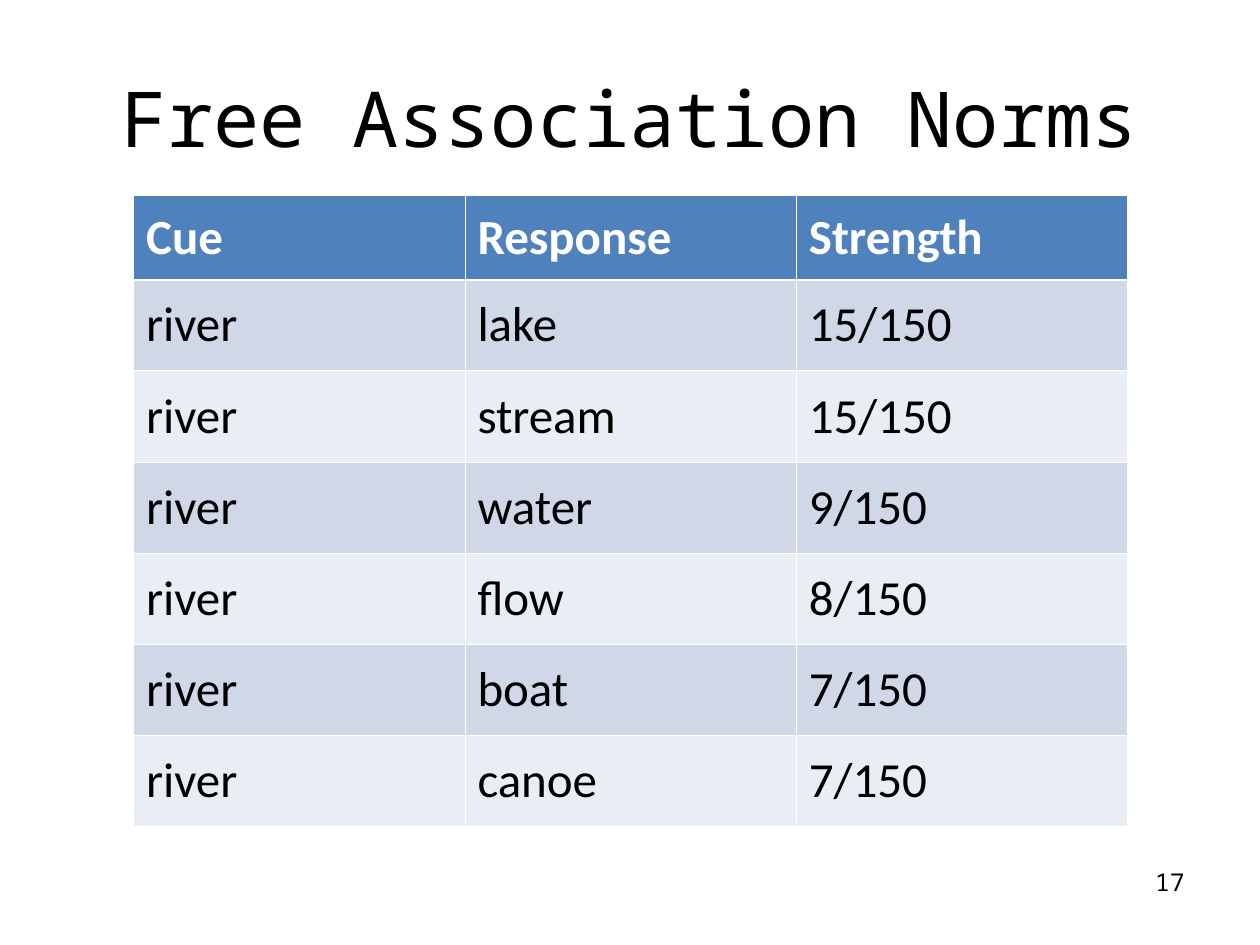
from dataclasses import dataclass

from lxml.etree import SubElement
from pptx import Presentation
from pptx.dml.color import RGBColor
from pptx.enum.text import MSO_ANCHOR as Anchor, PP_ALIGN as Align
from pptx.oxml.ns import qn
from pptx.util import Pt

BLACK = RGBColor(0x00, 0x00, 0x00)
WHITE = RGBColor(0xFF, 0xFF, 0xFF)
HEADER_BLUE = RGBColor(0x4F, 0x81, 0xBD)
BAND_DARK = RGBColor(0xD0, 0xD8, 0xE8)
BAND_LIGHT = RGBColor(0xE9, 0xED, 0xF4)

MONO, SANS = "Noto Sans Mono", "Calibri"
THIN, THICK = Pt(0.45), Pt(1.47)


@dataclass(frozen=True)
class RowStyle:
    fill: RGBColor
    color: RGBColor = BLACK
    bold: bool = False
    top: int = THIN
    bottom: int = THIN


@dataclass(frozen=True)
class Norm:
    cue: str
    response: str
    strength: str


HEADING = Norm("Cue", "Response", "Strength")
NORMS = [
    Norm("river", "lake", "15/150"),
    Norm("river", "stream", "15/150"),
    Norm("river", "water", "9/150"),
    Norm("river", "flow", "8/150"),
    Norm("river", "boat", "7/150"),
    Norm("river", "canoe", "7/150"),
]


def place(shape, left: float, top: float, width: float, height: float) -> None:
    shape.left, shape.top = Pt(left), Pt(top)
    shape.width, shape.height = Pt(width), Pt(height)


def format_paragraph(paragraph, font_name: str, size: float, color: RGBColor,
                     align: Align, bold: bool = False) -> None:
    paragraph.alignment = align
    font = paragraph.font
    font.name, font.size, font.bold = font_name, Pt(size), bold
    font.color.rgb = color


def set_borders(cell, style: RowStyle) -> None:
    properties = cell._tc.get_or_add_tcPr()
    for side, width in (("L", THIN), ("R", THIN), ("T", style.top), ("B", style.bottom)):
        line = SubElement(properties, qn(f"a:ln{side}"), w=str(width))
        fill = SubElement(line, qn("a:solidFill"))
        SubElement(fill, qn("a:srgbClr"), val=str(WHITE))


def fill_row(cells, norm: Norm, style: RowStyle) -> None:
    for cell, entry in zip(cells, (norm.cue, norm.response, norm.strength)):
        cell.text = entry
        cell.vertical_anchor = Anchor.MIDDLE
        paragraph = cell.text_frame.paragraphs[0]
        format_paragraph(paragraph, SANS, 28, style.color, Align.LEFT, style.bold)
        paragraph.space_before = Pt(7)
        # Borders come before the fill in the cell properties
        set_borders(cell, style)
        cell.fill.solid()
        cell.fill.fore_color.rgb = style.fill


def row_style(index: int) -> RowStyle:
    if index == 0:
        return RowStyle(HEADER_BLUE, WHITE, bold=True, bottom=THICK)
    return RowStyle(BAND_DARK if index % 2 else BAND_LIGHT,
                    top=THICK if index == 1 else THIN)


def add_norms_table(slide) -> None:
    rows = [HEADING, *NORMS]
    table = slide.shapes.add_table(len(rows), 3, Pt(76.32), Pt(111.6),
                                   Pt(568.08), Pt(360.72)).table
    for column in table.columns:
        column.width = Pt(189.36)
    for index, (row, norm) in enumerate(zip(table.rows, rows)):
        row.height = Pt(52.08 if index else 48.24)
        fill_row(row.cells, norm, row_style(index))


def main() -> None:
    presentation = Presentation()
    presentation.slide_width, presentation.slide_height = Pt(720), Pt(540)
    slide = presentation.slides.add_slide(presentation.slide_layouts[5])

    # Title
    title = slide.shapes.title
    place(title, 36, 21.6, 648, 90)
    title.text_frame.text = "Free Association Norms"
    title.text_frame.vertical_anchor = Anchor.MIDDLE
    format_paragraph(title.text_frame.paragraphs[0], MONO, 44, BLACK, Align.CENTER)

    # Cues with their responses and strengths
    add_norms_table(slide)

    # Slide number
    number = slide.shapes.add_textbox(Pt(516.24), Pt(491.76), Pt(167.76), Pt(37.44))
    number.text_frame.word_wrap = True
    number.text_frame.text = "17"
    format_paragraph(number.text_frame.paragraphs[0], MONO, 14, BLACK, Align.RIGHT)

    presentation.save("out.pptx")


if __name__ == "__main__":
    main()
